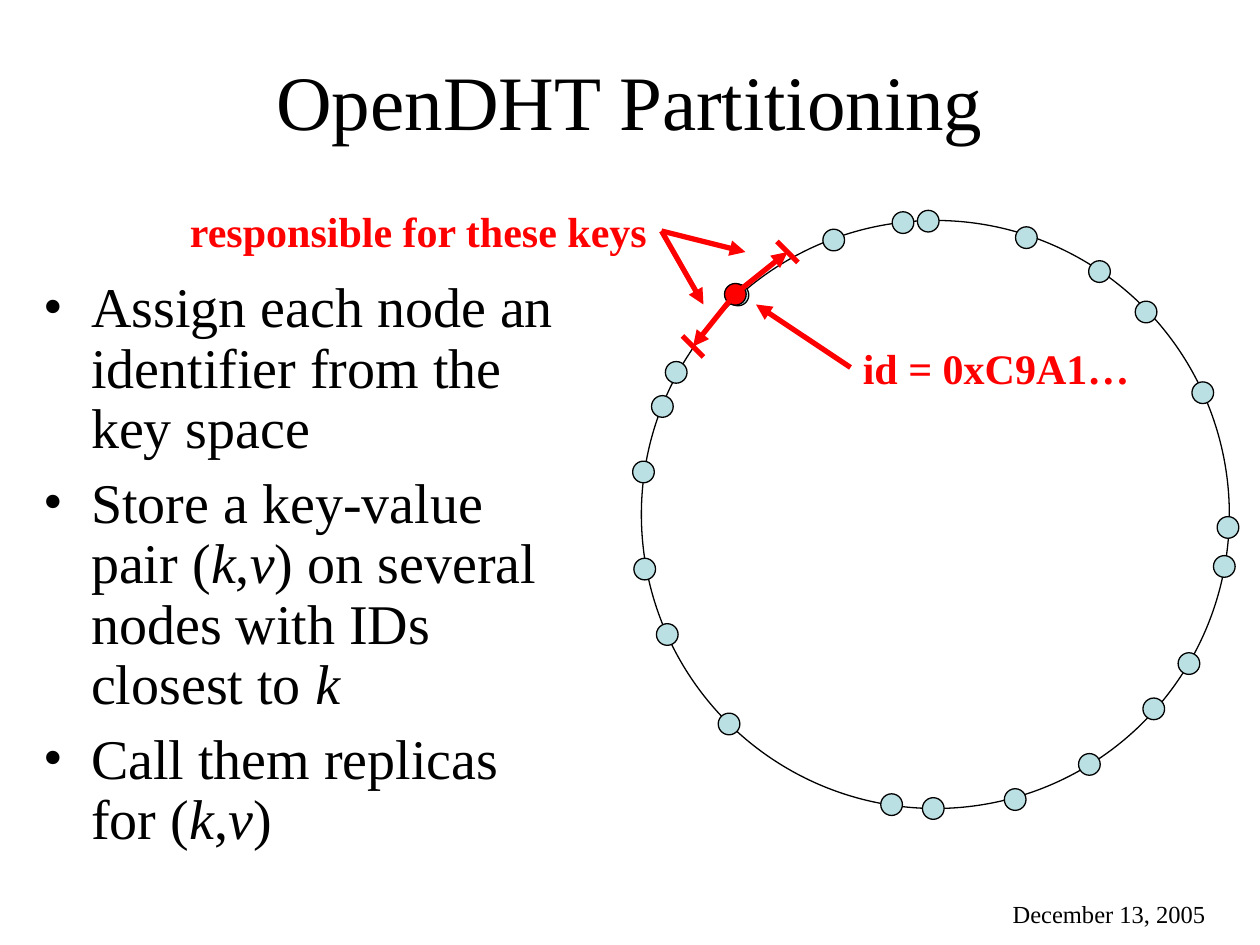
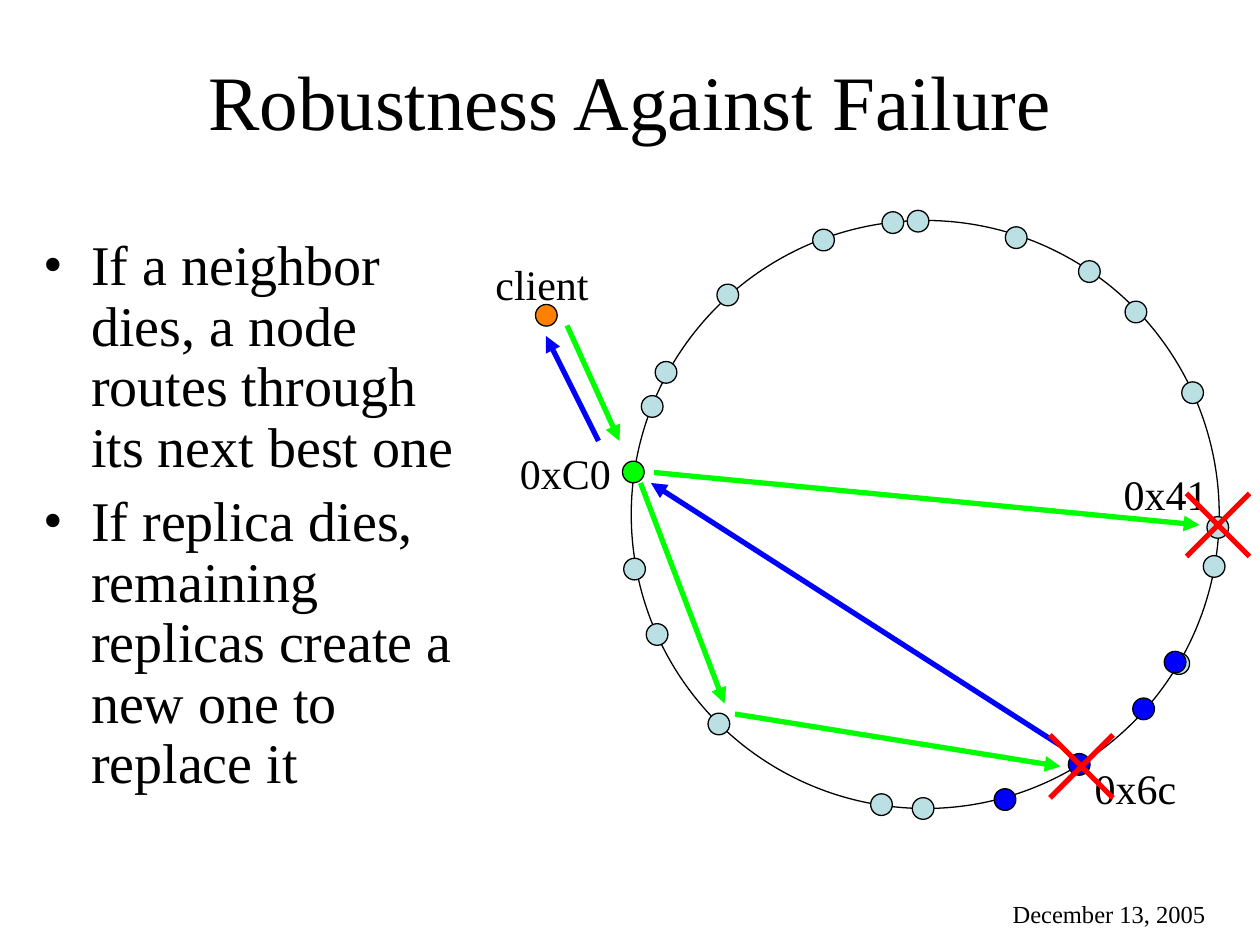
from collections import namedtuple

from lxml import etree
from pptx import Presentation
from pptx.dml.color import RGBColor
from pptx.enum.shapes import MSO_CONNECTOR as Connector, MSO_SHAPE as Shape
from pptx.enum.text import MSO_ANCHOR as Anchor, MSO_AUTO_SIZE as AutoSize, PP_ALIGN as Align
from pptx.oxml.ns import qn
from pptx.util import Pt

Box = namedtuple("Box", "left top width height")

BLACK = RGBColor(0x00, 0x00, 0x00)
RED = RGBColor(0xFF, 0x00, 0x00)
GREEN = RGBColor(0x00, 0xFF, 0x00)
BLUE = RGBColor(0x00, 0x00, 0xFF)
ORANGE = RGBColor(0xFF, 0x80, 0x00)
PALE_BLUE = RGBColor(0xBB, 0xE0, 0xE3)

FONT = "Times New Roman"
TITLE_FORMAT = {"name": FONT, "size": Pt(44)}
BODY_FORMAT = {"name": FONT, "size": Pt(32)}
LABEL_FORMAT = {"name": FONT, "size": Pt(24)}
FOOTER_FORMAT = {"name": FONT, "size": Pt(14)}

TITLE_BOX = Box(54, 12, 612, 90)
FOOTER_BOX = Box(546, 510, 150, 18)
DIAGRAM_BOX = Box(360, 120, 360, 348)
RING_TOP = 6
RING_SIZE = 336
NODE_SIZE = 12.4
CROSS_ARM = 18
BULLET_INDENT = 27
LABEL_HEIGHT = 36

# Top-left corners of the nodes from the ring's corner, clockwise from the top.
NODES = [
    (157.7, -5.8), (213.8, 3.6), (255.6, 23), (282.2, 46.1), (314.6, 92.2),
    (329, 169.2), (326.9, 191.5), (306.7, 247), (286.6, 272.9), (249.8, 304.6),
    (207.4, 324.7), (160.6, 329.8), (136.8, 327.6), (43.9, 281.5), (8.6, 230.4),
    (-4.3, 193), (-5, 137.5), (5.8, 100.1), (13.7, 80.6), (49, 36.4),
    (103.7, 5), (143.3, -5),
]
REPLICAS = (8, 9, 10)
GATEWAY = 16


def apply_format(font, values, color=BLACK):
    for name, value in values.items():
        setattr(font, name, value)
    font.color.rgb = color


def add_text_box(slide, box):
    frame = slide.shapes.add_textbox(*map(Pt, box)).text_frame
    frame.word_wrap = True
    return frame


def add_circle(slide, left, top, size, fill=None):
    circle = slide.shapes.add_shape(Shape.OVAL, *map(Pt, (left, top, size, size)))
    circle.shadow.inherit = False
    circle.line.color.rgb = BLACK
    circle.line.width = Pt(0.75)
    if fill is None:
        circle.fill.background()
    else:
        circle.fill.solid()
        circle.fill.fore_color.rgb = fill


def add_node(slide, box, left, top, fill):
    add_circle(slide, box.left + left, box.top + top, NODE_SIZE, fill)


def add_ring(slide, box, left, special_nodes):
    """Draw the key space with its nodes; special_nodes maps an index to a colour."""
    ring = Box(box.left + left, box.top + RING_TOP, RING_SIZE, RING_SIZE)
    add_circle(slide, ring.left, ring.top, RING_SIZE)
    for index, (node_left, node_top) in enumerate(NODES):
        add_node(slide, ring, node_left, node_top, special_nodes.get(index, PALE_BLUE))


def add_line(slide, box, start, end, color, arrow=True):
    ends = [box.left + start[0], box.top + start[1], box.left + end[0], box.top + end[1]]
    connector = slide.shapes.add_connector(Connector.STRAIGHT, *map(Pt, ends))
    connector.line.color.rgb = color
    connector.line.width = Pt(3)
    if arrow:
        outline = connector.line._get_or_add_ln()
        etree.SubElement(outline, qn("a:tailEnd"), type="triangle")
    etree.SubElement(connector._element.spPr, qn("a:effectLst"))


def add_cross(slide, box, x, y):
    for slope in (1, -1):
        rise = slope * CROSS_ARM
        add_line(slide, box, (x - CROSS_ARM, y - rise), (x + CROSS_ARM, y + rise), RED, arrow=False)


def add_label(slide, box, text, left, top, width, color=BLACK, bold=False):
    """Write a one-line label; the free right margin keeps it from wrapping."""
    frame = add_text_box(slide, Box(box.left + left, box.top + top, width, LABEL_HEIGHT))
    frame.margin_right = 0
    run = frame.paragraphs[0].add_run()
    run.text = text
    apply_format(run.font, {**LABEL_FORMAT, "bold": bold}, color)


def add_title(slide, box, text):
    title = slide.shapes.title
    for name, value in box._asdict().items():
        setattr(title, name, Pt(value))
    frame = title.text_frame
    frame.text = text
    frame.auto_size = AutoSize.NONE
    frame.vertical_anchor = Anchor.MIDDLE
    paragraph = frame.paragraphs[0]
    paragraph.alignment = Align.CENTER
    apply_format(paragraph.font, TITLE_FORMAT)


def add_footer(slide, box):
    paragraph = add_text_box(slide, box).paragraphs[0]
    paragraph.text = "December 13, 2005"
    paragraph.alignment = Align.RIGHT
    apply_format(paragraph.font, FOOTER_FORMAT)


def add_bullets(slide, box, items):
    """Write a bulleted list; parts of an item between asterisks are italic."""
    frame = add_text_box(slide, box)
    for index, item in enumerate(items):
        paragraph = frame.add_paragraph() if index else frame.paragraphs[0]
        properties = paragraph._p.get_or_add_pPr()
        properties.set("marL", str(Pt(BULLET_INDENT)))
        properties.set("indent", str(-Pt(BULLET_INDENT)))
        etree.SubElement(properties, qn("a:buFont"), typeface=FONT)
        etree.SubElement(properties, qn("a:buChar"), char="•")
        paragraph.line_spacing = 0.9
        paragraph.space_before = Pt(8 if index else 0)
        for part, text in enumerate(item.split("*")):
            if text:
                run = paragraph.add_run()
                run.text = text
                apply_format(run.font, {**BODY_FORMAT, "italic": part % 2 == 1})


def add_partitioning_diagram(slide, box):
    owner = (60, 48)
    callout = (18, 12)
    add_ring(slide, box, 6.5, {})
    add_node(slide, box, 54, 42, RED)
    arrows = [
        ((126, 90), (72, 54)),
        (owner, (90, 24)),
        (owner, (36, 78)),
        (callout, (66, 24)),
        (callout, (42, 54)),
    ]
    for start, end in arrows:
        add_line(slide, box, start, end, RED)
    for x, y in ((36, 78), (90, 24)):
        add_line(slide, box, (x - 6, y - 6), (x + 6, y + 6), RED, arrow=False)
    add_label(slide, box, "id = 0xC9A1…", 126, 72, 166, RED, bold=True)
    add_label(slide, box, "responsible for these keys", -258.5, -6, 276.5, RED, bold=True)


def add_failure_diagram(slide, box):
    add_ring(slide, box, 0.7, {GATEWAY: GREEN, **dict.fromkeys(REPLICAS, BLUE)})
    add_node(slide, box, -54, 54, ORANGE)
    labels = [
        ("client", -84, 24, 68),
        ("0xC0", -70, 132, 66),
        ("0x41", 275, 144, 62),
        ("0x6c", 258.5, 312, 61),
    ]
    for label in labels:
        add_label(slide, box, *label)
    messages = [
        ((-36, 66), (-6, 132), GREEN),
        ((13.7, 150), (325.4, 180), GREEN),
        ((6, 156), (54, 282), GREEN),
        ((60, 288), (246, 318), GREEN),
        ((246, 306), (12, 156), BLUE),
        ((-18, 132), (-48, 72), BLUE),
    ]
    for message in messages:
        add_line(slide, box, *message)
    for x, y in ((336, 180), (258, 318)):
        add_cross(slide, box, x, y)
    add_node(slide, box, 305.3, 252.2, BLUE)


def add_slide(presentation, title, bullet_box, bullets, add_diagram):
    slide = presentation.slides.add_slide(presentation.slide_layouts.get_by_name("Title Only"))
    add_footer(slide, FOOTER_BOX)
    add_title(slide, TITLE_BOX, title)
    add_bullets(slide, bullet_box, bullets)
    add_diagram(slide, DIAGRAM_BOX)


def main():
    presentation = Presentation()
    presentation.slide_width, presentation.slide_height = Pt(720), Pt(540)
    add_slide(
        presentation,
        "OpenDHT Partitioning",
        Box(18, 156, 312, 336),
        [
            "Assign each node an identifier from the key space",
            "Store a key-value pair (*k*,*v*) on several nodes with IDs closest to *k*",
            "Call them replicas for (*k*,*v*)",
        ],
        add_partitioning_diagram,
    )
    add_slide(
        presentation,
        "Robustness Against Failure",
        Box(18, 132, 252, 354),
        [
            "If a neighbor dies, a node routes through its next best one",
            "If replica dies, remaining replicas create a new one to replace it",
        ],
        add_failure_diagram,
    )
    presentation.save("out.pptx")


if __name__ == "__main__":
    main()
